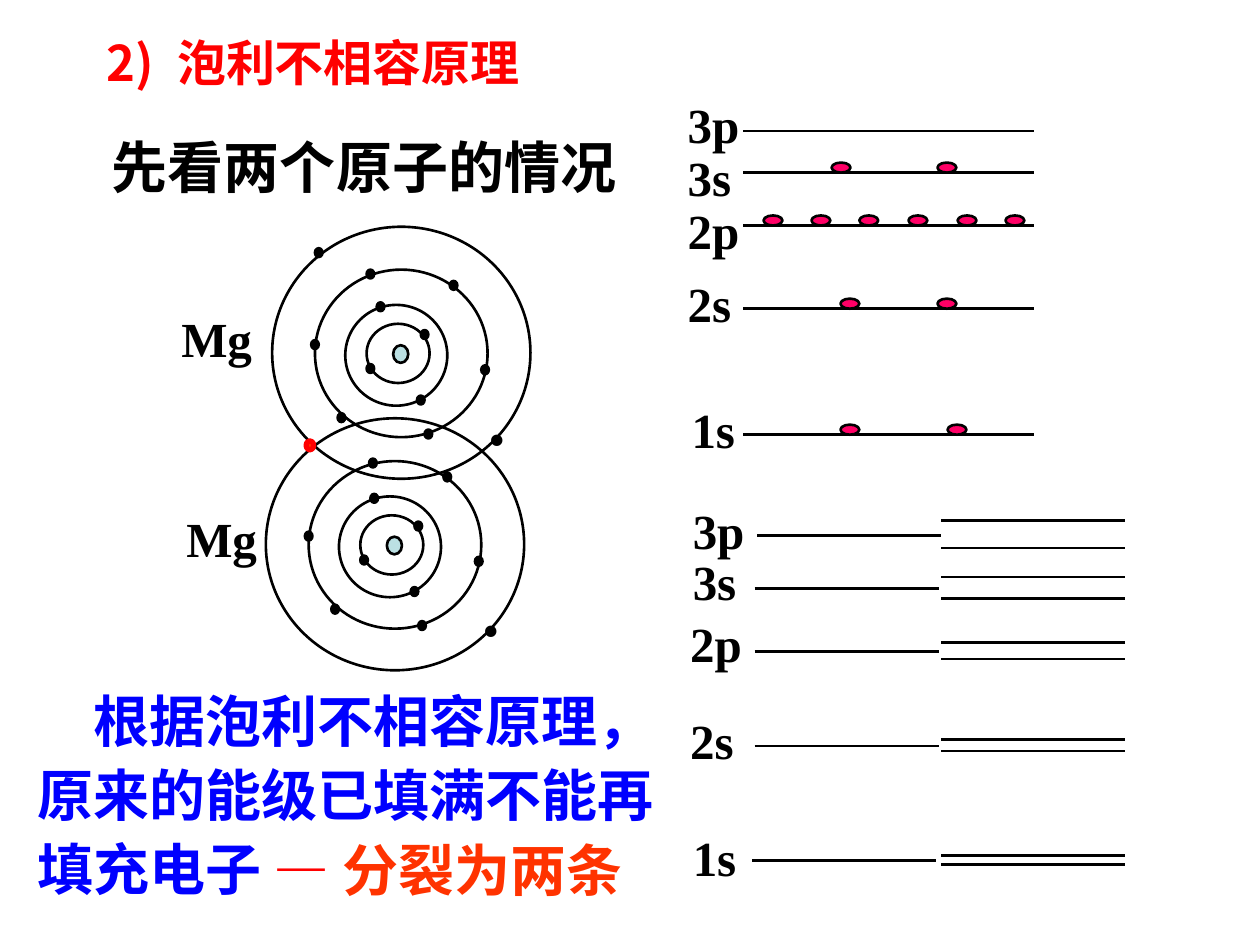
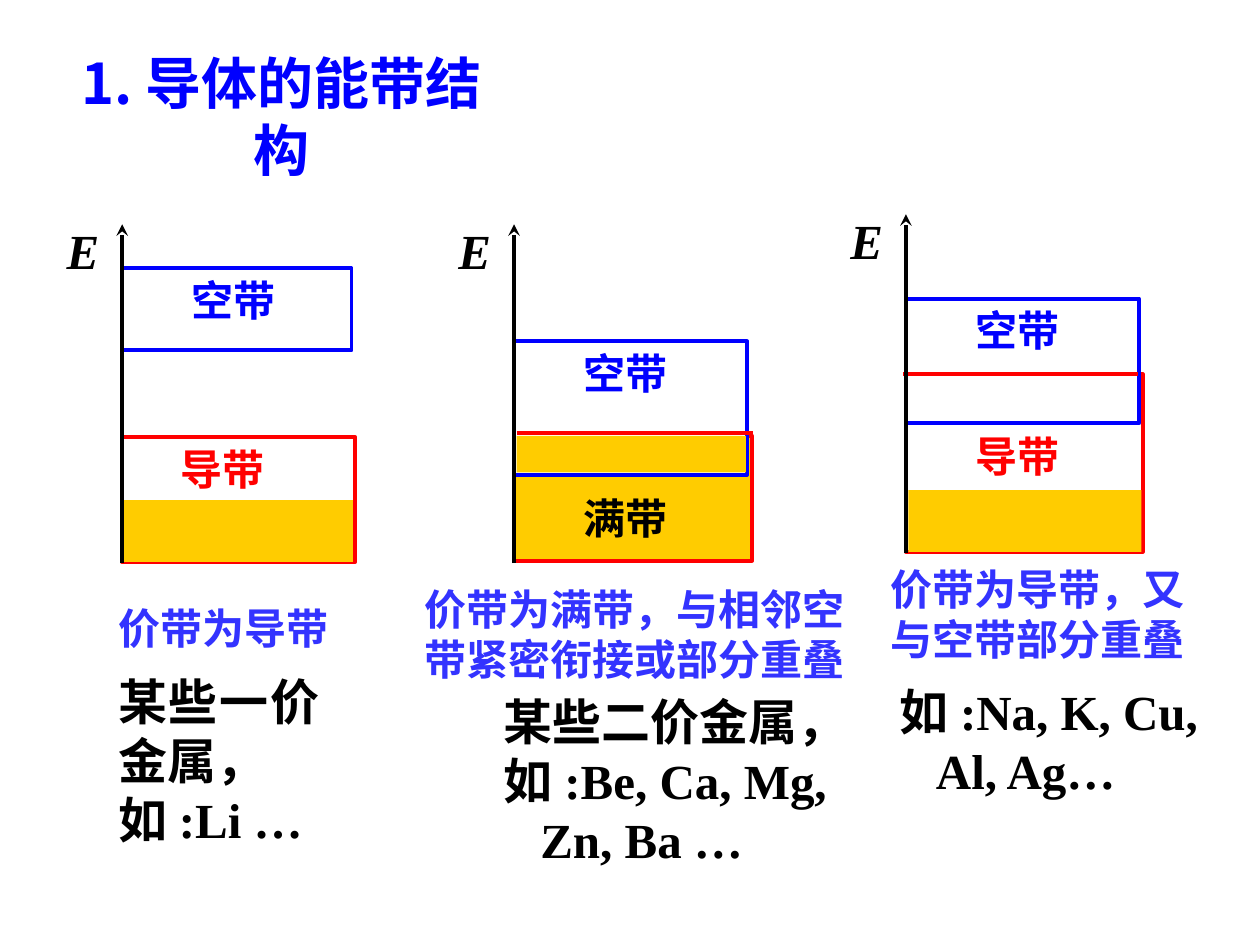
"""Build two slides on the Pauli exclusion principle and the energy bands of conductors."""
from lxml.etree import SubElement
from pptx import Presentation
from pptx.dml.color import RGBColor
from pptx.enum.shapes import MSO_CONNECTOR, MSO_SHAPE
from pptx.enum.text import MSO_ANCHOR, PP_ALIGN
from pptx.oxml.ns import qn
from pptx.util import Inches, Pt

SERIF, SANS = "Times New Roman", "Noto Sans CJK SC"
BLACK = RGBColor(0, 0, 0)
WHITE = RGBColor(0xFF, 0xFF, 0xFF)
RED = RGBColor(0xFF, 0, 0)
ORANGE_RED = RGBColor(0xFF, 0x33, 0)
BLUE = RGBColor(0, 0, 0xFF)
CAPTION_BLUE = RGBColor(0x33, 0x33, 0xFF)
NUCLEUS = RGBColor(0xBB, 0xE0, 0xE3)
ELECTRON = RGBColor(0xFF, 0, 0x66)
GOLD = RGBColor(0xFF, 0xCC, 0)

HEADING = {"size": 32}
LABEL = {"size": 28}
SANS_TITLE = {"size": 28, "name": SANS, "color": RED}
BAND_TITLE = {"size": 32, "name": SANS, "color": BLUE}
CAPTION = {"size": 24, "name": SANS, "color": CAPTION_BLUE}

RINGS = [(2.74, 2.42, 0.81, 0.8), (2.91, 2.57, 0.5, 0.47),
         (2.5, 2.14, 1.37, 1.33), (2.16, 1.8, 2.05, 2)]
CORE = (3.12, 2.74, 0.12, 0.14)
ORBIT_DOTS = [(2.68, 3.28), (3.37, 3.41), (3.82, 2.9), (2.47, 2.7), (3.57, 2.23),
              (2.91, 2.89), (2.99, 2.4), (3.31, 3.14), (3.34, 2.62)]
DOT_W, DOT_H = 0.06, 0.07
ATOMS = [
    {"shift": (0, 0), "label": (1.34, 2.4),
     "own_dots": [(2.91, 2.14, BLACK, BLACK, 1.5), (2.5, 1.97, BLACK, BLACK, 1.5)]},
    {"shift": (-0.05, 1.52), "label": (1.38, 3.99),
     "own_dots": [(2.93, 3.64, BLACK, BLACK, 1.5), (2.43, 3.5, ORANGE_RED, RED, 3)]},
]

FILLED_LEVELS = [
    ("3p", 1.04, 5.36, 0.7, []),
    ("3s", 1.37, 5.36, 1.12, [6.6, 7.44]),
    ("2p", 1.79, 5.36, 1.54, [6.06, 6.44, 6.82, 7.21, 7.6, 7.98]),
    ("2s", 2.45, 5.36, 2.12, [6.67, 7.44]),
    ("1s", 3.45, 5.39, 3.12, [6.67, 7.52]),
]
SPLIT_LEVELS = [
    ("3p", 6.01, 4.25, (4.13, 4.35), 5.4, 3.92),
    ("3s", 5.99, 4.67, (4.58, 4.75), 5.4, 4.33),
    ("2p", 5.99, 5.17, (5.1, 5.23), 5.38, 4.82),
    ("2s", 5.99, 5.92, (5.87, 5.96), 5.38, 5.59),
    ("1s", 5.97, 6.83, (6.79, 6.86), 5.4, 6.52),
]
LEVEL_LEFT, LEVEL_RIGHT = 5.9, 8.21
SPLIT_LEFT, SPLIT_W = 7.47, 1.46

AXIS_LEFT, AXIS_STEP, AXIS_H = 0.97, 3.11, 2.69
DIAGRAMS = [
    {"axis_top": 1.78, "edge": None,
     "bands": [((0, 2.13, 1.82, 0.65), WHITE, BLUE, "空带", BLUE, 0.55, 0.05),
               ((0, 3.47, 1.85, 0.99), WHITE, RED, "导带", RED, 0.46, 0.05),
               ((0.01, 3.97, 1.82, 0.49), GOLD, None, "", None, 0, 0)],
     "caption": ("价带为导带", (0.84, 4.73, 2.13, 0.5)),
     "examples": (["某些一价金属，", "如:Li …"], (0.84, 5.28, 1.79, 1.47), None)},
    {"axis_top": 1.78, "edge": (4.1, 5.98, 3.44),
     "bands": [((0, 3.46, 1.89, 0.99), GOLD, RED, "满带", BLACK, 0.55, 0.45),
               ((0, 2.71, 1.85, 1.06), WHITE, BLUE, "空带", BLUE, 0.55, 0.05),
               ((0.02, 3.46, 1.82, 0.29), GOLD, None, "", None, 0, 0)],
     "caption": ("价带为满带，与相邻空带紧密衔接或部分重叠", (3.27, 4.58, 3.62, 0.9)),
     "examples": (["某些二价金属，", "如:Be, Ca, Mg,", "Zn, Ba …"],
                  (3.9, 5.44, 3.04, 1.67), 2)},
    {"axis_top": 1.7, "edge": (7.17, 9.03, 2.97),
     "bands": [((0, 2.97, 1.88, 1.41), WHITE, RED, "导带", RED, 0.55, 0.45),
               ((0.02, 3.89, 1.85, 0.49), GOLD, None, "", None, 0, 0),
               ((0, 2.37, 1.85, 0.99), WHITE, BLUE, "空带", BLUE, 0.55, 0.05)],
     "caption": ("价带为导带，又与空带部分重叠", (6.97, 4.42, 2.6, 0.9)),
     "examples": (["如:Na, K, Cu,", "Al, Ag…"], (7.04, 5.36, 2.6, 1.27), 1)},
]


def add_run(p, text, size, name=SERIF, color=BLACK, italic=None):
    r = p.add_run()
    r.text = text
    r.font.color.rgb = color
    for key, value in {"size": Pt(size), "name": name, "bold": True, "italic": italic}.items():
        setattr(r.font, key, value)
    SubElement(r._r.get_or_add_rPr(), qn("a:ea"), typeface=SANS)


def set_indent(p, left=0, first=0):
    pPr = p._p.get_or_add_pPr()
    pPr.set("marL", str(Inches(left)))
    pPr.set("indent", str(Inches(first)))


def add_text(s, box, lines, fmt, align=PP_ALIGN.LEFT, anchor=MSO_ANCHOR.TOP, wrap=True):
    tf = s.shapes.add_textbox(*map(Inches, box)).text_frame
    tf.word_wrap = wrap
    tf.vertical_anchor = anchor
    for i, line in enumerate(lines):
        p = tf.add_paragraph() if i else tf.paragraphs[0]
        p.alignment = align
        add_run(p, line, **fmt)
    return tf


def add_shape(s, kind, box, fill=None, line=None, width=1.5):
    sp = s.shapes.add_shape(kind, *map(Inches, box))
    sp.shadow.inherit = False
    if fill is None:
        sp.fill.background()
    else:
        sp.fill.solid()
        sp.fill.fore_color.rgb = fill
    if line is None:
        sp.line.fill.background()
    else:
        sp.line.color.rgb = line
        sp.line.width = Pt(width)
    return sp


def add_line(s, x1, y1, x2, y2, color=BLACK, width=1.5, arrow=False):
    cn = s.shapes.add_connector(MSO_CONNECTOR.STRAIGHT, *map(Inches, (x1, y1, x2, y2)))
    cn.line.color.rgb = color
    cn.line.width = Pt(width)
    if arrow:
        SubElement(cn.line._get_or_add_ln(), qn("a:tailEnd"), type="stealth")
    SubElement(cn._element.spPr, qn("a:effectLst"))


def add_atom(s, atom):
    dx, dy = atom["shift"]
    for x, y, w, h in RINGS:
        add_shape(s, MSO_SHAPE.OVAL, (x + dx, y + dy, w, h), line=BLACK)
    x, y, w, h = CORE
    add_shape(s, MSO_SHAPE.OVAL, (x + dx, y + dy, w, h), NUCLEUS, BLACK)
    add_text(s, (3.78 + dx, 2.93 + dy, 0.43, 0.77), ["."], {"size": 40})
    dots = [(x + dx, y + dy, BLACK, BLACK, 1.5) for x, y in ORBIT_DOTS]
    for x, y, fill, line, width in dots + atom["own_dots"]:
        add_shape(s, MSO_SHAPE.OVAL, (x, y, DOT_W, DOT_H), fill, line, width)
    add_text(s, (*atom["label"], 0.79, 0.57), ["Mg"], LABEL)


def add_levels(s):
    for name, y, left, top, electrons in FILLED_LEVELS:
        add_line(s, LEVEL_LEFT, y, LEVEL_RIGHT, y)
        for x in electrons:
            add_shape(s, MSO_SHAPE.OVAL, (x, y - 0.08, 0.15, 0.08), ELECTRON, BLACK)
        add_text(s, (left, top, 0.8, 0.57), [name], LABEL)
    for name, x, y, pair, left, top in SPLIT_LEVELS:
        add_line(s, x, y, x + SPLIT_W, y)
        for split_y in pair:
            add_line(s, SPLIT_LEFT, split_y, SPLIT_LEFT + SPLIT_W, split_y)
        add_text(s, (left, top, 0.8, 0.57), [name], LABEL)


def add_pauli_slide(s):
    tf = add_text(s, (0.79, 1.1, 5.39, 0.53), ["先看两个原子的情况"], HEADING,
                  anchor=MSO_ANCHOR.MIDDLE)
    tf.paragraphs[0].line_spacing = 0.8
    for atom in ATOMS:
        add_atom(s, atom)
    tf = add_text(s, (0.2, 5.35, 5.29, 1.86),
                  ["根据泡利不相容原理，原来的能级已填满不能再填充电子"],
                  {"size": 32, "color": BLUE})
    set_indent(tf.paragraphs[0], first=0.44)
    tf.paragraphs[0].line_spacing = 1.1
    add_levels(s)
    tf = add_text(s, (2.07, 6.58, 2.98, 0.63), ["— "], {"size": 32, "color": RED},
                  PP_ALIGN.CENTER, wrap=False)
    add_run(tf.paragraphs[0], "分裂为两条", 32, color=ORANGE_RED)
    add_text(s, (0.75, 0.21, 3.78, 0.57), ["2) 泡利不相容原理"], SANS_TITLE)


def add_band(s, axis_x, band):
    (dx, y, w, h), fill, line, text, color, pad_left, pad_top = band
    sp = add_shape(s, MSO_SHAPE.RECTANGLE, (axis_x + dx, y, w, h), fill, line, 2.25)
    if text:
        tf = sp.text_frame
        tf.vertical_anchor = MSO_ANCHOR.TOP
        tf.margin_left, tf.margin_top = Inches(pad_left), Inches(pad_top)
        tf.paragraphs[0].alignment = PP_ALIGN.LEFT
        add_run(tf.paragraphs[0], text, 24, color=color)


def add_bands_slide(s):
    tf = add_text(s, (0.35, 0.6, 3.77, 0.63), ["1."], BAND_TITLE,
                  PP_ALIGN.CENTER, MSO_ANCHOR.MIDDLE)
    add_run(tf.paragraphs[0], "导体的能带结构", 32, color=BLUE)
    for i, diagram in enumerate(DIAGRAMS):
        x, top = AXIS_LEFT + i * AXIS_STEP, diagram["axis_top"]
        for band in diagram["bands"]:
            add_band(s, x, band)
        if diagram["edge"]:
            x1, x2, y = diagram["edge"]
            add_line(s, x1, y, x2, y, RED, 2.25)
        add_line(s, x, top + AXIS_H, x, top, width=2.25, arrow=True)
        add_text(s, (x - 0.54, top - 0.08, 0.65, 0.6), ["E"], {"size": 28, "italic": True})
        lines, box, indented = diagram["examples"]
        tf = add_text(s, box, lines, LABEL, PP_ALIGN.JUSTIFY)
        if indented is not None:
            set_indent(tf.paragraphs[indented], left=0.29)
        text, box = diagram["caption"]
        add_text(s, box, [text], CAPTION)


def main():
    prs = Presentation()
    prs.slide_width, prs.slide_height = Inches(10), Inches(7.5)
    for build in (add_pauli_slide, add_bands_slide):
        build(prs.slides.add_slide(prs.slide_layouts[6]))
    prs.save("out.pptx")


if __name__ == "__main__":
    main()
